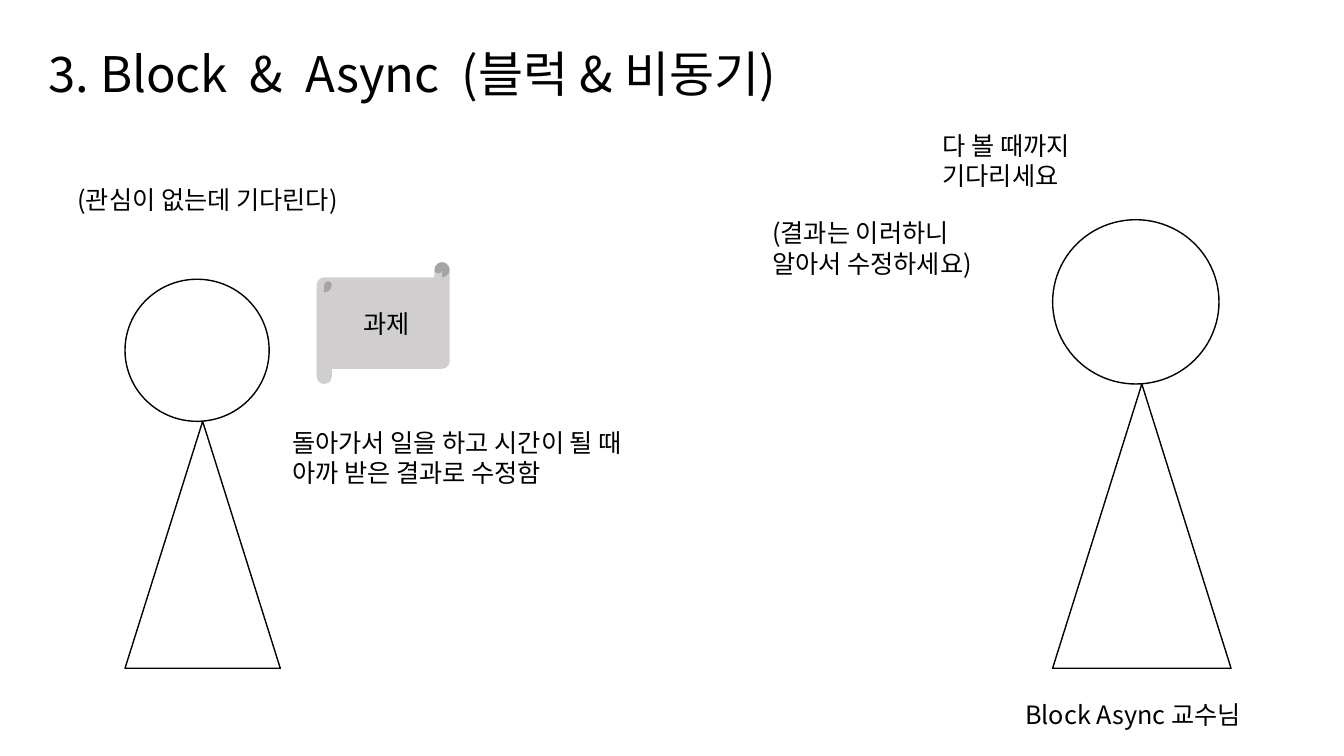
from lxml import etree
from pptx import Presentation
from pptx.dml.color import RGBColor
from pptx.enum.shapes import MSO_SHAPE
from pptx.enum.text import MSO_ANCHOR, PP_ALIGN
from pptx.oxml.ns import qn
from pptx.util import Inches, Pt

FONT = "Noto Sans CJK KR"


def color(hex_code):
    return RGBColor.from_string(hex_code)


def write(shape, lines, size=18):
    frame = shape.text_frame
    frame.word_wrap = True
    frame.text = "\n".join(lines)
    for paragraph in frame.paragraphs:
        font = paragraph.runs[0].font
        font.name, font.size = FONT, Pt(size)
        font.color.rgb = color("000000")
        # Hangul takes the East Asian typeface
        east_asian = etree.SubElement(paragraph.runs[0]._r.rPr, qn("a:ea"))
        east_asian.set("typeface", FONT)


prs = Presentation()
prs.slide_width, prs.slide_height = Inches(13.33), Inches(7.5)
slide = prs.slides.add_slide(prs.slide_layouts[6])
shapes = slide.shapes

# Professor and student: a round head on a triangular body
figures = [
    (10.44, 2.18, 1.65, 1.63, 1.77, 2.82),
    (1.24, 2.77, 1.43, 1.41, 1.54, 2.45),
]
for left, top, head_w, head_h, body_w, body_h in figures:
    person = shapes.add_group_shape()
    for kind, y, w, h in [
        (MSO_SHAPE.OVAL, top, head_w, head_h),
        (MSO_SHAPE.ISOSCELES_TRIANGLE, top + head_h, body_w, body_h),
    ]:
        part = person.shapes.add_shape(kind, Inches(left), Inches(y), Inches(w), Inches(h))
        part.shadow.inherit = False
        part.fill.solid()
        part.fill.fore_color.rgb = color("FFFFFF")
        part.line.color.rgb = color("000000")
        part.line.width = Pt(1)

# Assignment scroll
scroll = shapes.add_shape(
    MSO_SHAPE.HORIZONTAL_SCROLL, Inches(3.14), Inches(2.6), Inches(1.32), Inches(1.21))
scroll.shadow.inherit = False
scroll.fill.solid()
scroll.fill.fore_color.rgb = color("D0CECE")
scroll.line.fill.background()
write(scroll, ["과제"])
scroll.text_frame.vertical_anchor = MSO_ANCHOR.MIDDLE
scroll.text_frame.paragraphs[0].alignment = PP_ALIGN.CENTER

# Title, speech and captions
texts = [
    (0.38, 0.38, 10.39, 0.69, 35, ["3. Block  &  Async  (블럭 & 비동기)"]),
    (10.07, 6.89, 2.93, 0.4, 18, ["Block Async 교수님"]),
    (9.25, 1.24, 2.65, 0.4, 18, ["다 볼 때까지 기다리세요"]),
    (0.67, 1.78, 2.96, 0.4, 18, ["(관심이 없는데 기다린다)"]),
    (7.56, 2.11, 2.3, 0.71, 18, ["(결과는 이러하니", "알아서 수정하세요)"]),
    (2.8, 4.19, 3.92, 0.71, 18, ["돌아가서 일을 하고 시간이 될 때", "아까 받은 결과로 수정함"]),
]
for left, top, width, height, size, lines in texts:
    box = shapes.add_textbox(Inches(left), Inches(top), Inches(width), Inches(height))
    write(box, lines, size)

prs.save("out.pptx")
